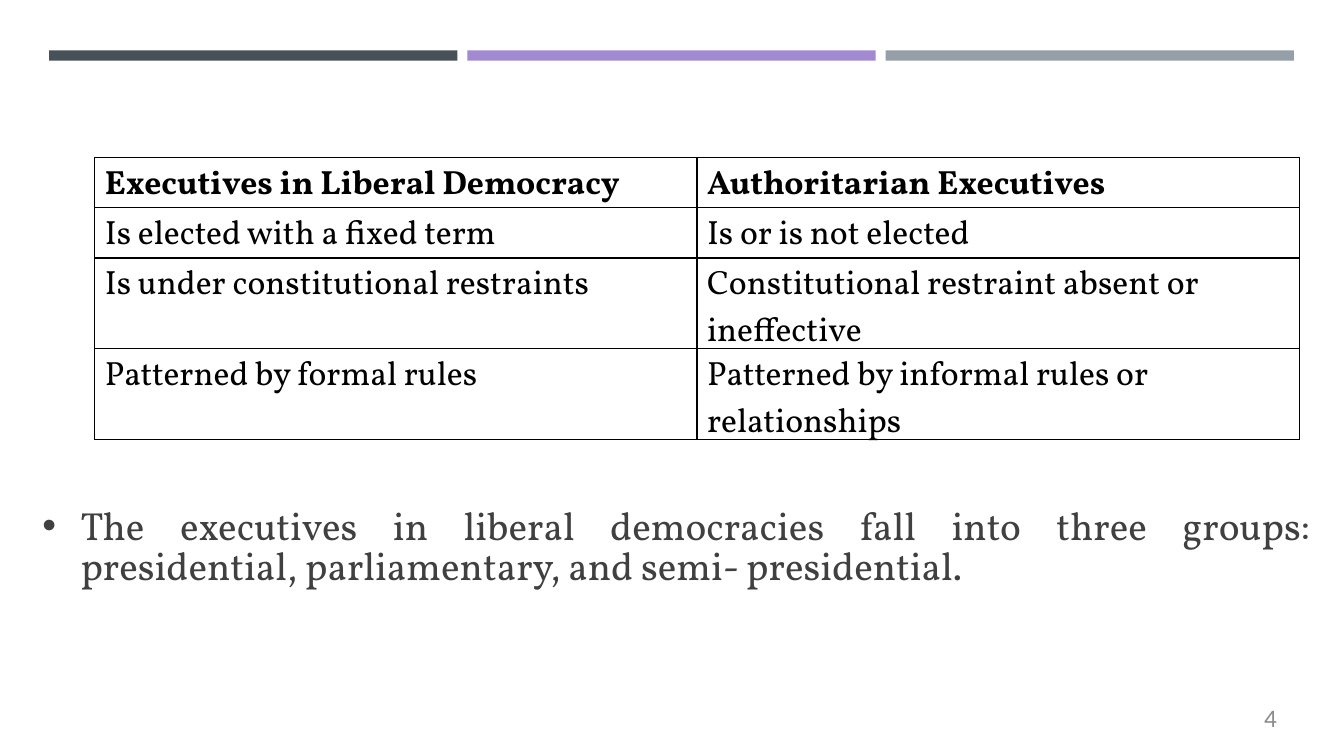
from lxml.etree import SubElement
from pptx import Presentation
from pptx.dml.color import RGBColor
from pptx.enum.shapes import MSO_SHAPE
from pptx.enum.text import PP_ALIGN
from pptx.oxml.ns import qn
from pptx.util import Cm, Pt

BLACK = RGBColor(0x00, 0x00, 0x00)
BODY_GRAY = RGBColor(0x40, 0x40, 0x40)
NUMBER_GRAY = RGBColor(0x8C, 0x8C, 0x8C)
BAR_COLORS = [
    RGBColor(0x46, 0x52, 0x58),
    RGBColor(0xA1, 0x8A, 0xD1),
    RGBColor(0x95, 0x9F, 0xA7),
]

ROWS = [
    ("Executives in Liberal Democracy", "Authoritarian Executives"),
    ("Is elected with a fixed term", "Is or is not elected"),
    ("Is under constitutional restraints", "Constitutional restraint absent or ineffective"),
    ("Patterned by formal rules", "Patterned by informal rules or relationships"),
]
SUMMARY = (
    "The executives in liberal democracies fall into three groups: "
    "presidential, parliamentary, and semi- presidential."
)
PAGE_NUMBER = "4"

HEADER_FONT = {"name": "Vollkorn", "size": Pt(24), "bold": True}
CELL_FONT = {"name": "Vollkorn", "size": Pt(24), "bold": False}
SUMMARY_FONT = {"name": "Vollkorn", "size": Pt(28)}
NUMBER_FONT = {"name": "Calibri", "size": Pt(18)}

BAR_LEFT, BAR_TOP, BAR_WIDTH, BAR_HEIGHT, BAR_STEP = 1.24, 1.27, 10.29, 0.26, 10.54
TABLE_LEFT, TABLE_TOP, TABLE_WIDTH, ROW_HEIGHT = 2.39, 3.96, 30.35, 1.04
HANGING_INDENT = Cm(0.96)


def write(paragraph, text, font_format, color):
    run = paragraph.add_run()
    run.text = text
    for name, value in font_format.items():
        setattr(run.font, name, value)
    run.font.color.rgb = color


def add_text(slide, box, text, font_format, color, alignment):
    """Add a wrapped text box without margins and return its paragraph."""
    frame = slide.shapes.add_textbox(*map(Cm, box)).text_frame
    frame.word_wrap = True
    for side in ("left", "top", "right", "bottom"):
        setattr(frame, f"margin_{side}", 0)
    paragraph = frame.paragraphs[0]
    paragraph.alignment = alignment
    write(paragraph, text, font_format, color)
    return paragraph


def add_bullet(paragraph):
    properties = paragraph._p.get_or_add_pPr()
    properties.set("marL", str(HANGING_INDENT))
    properties.set("indent", str(-HANGING_INDENT))
    SubElement(properties, qn("a:buFont"), typeface="Arial")
    SubElement(properties, qn("a:buChar"), char="•")


def add_borders(cell):
    properties = cell._tc.get_or_add_tcPr()
    for position, side in enumerate(("a:lnL", "a:lnR", "a:lnT", "a:lnB")):
        line = SubElement(properties, qn(side), w=str(Pt(1)))
        fill = SubElement(line, qn("a:solidFill"))
        SubElement(fill, qn("a:srgbClr"), val=str(BLACK))
        properties.remove(line)
        properties.insert(position, line)


def add_bars(slide):
    for index, color in enumerate(BAR_COLORS):
        left = BAR_LEFT + index * BAR_STEP
        box = (left, BAR_TOP, BAR_WIDTH, BAR_HEIGHT)
        bar = slide.shapes.add_shape(MSO_SHAPE.RECTANGLE, *map(Cm, box))
        bar.shadow.inherit = False
        bar.fill.solid()
        bar.fill.fore_color.rgb = color
        bar.line.fill.background()


def add_comparison(slide):
    box = (TABLE_LEFT, TABLE_TOP, TABLE_WIDTH, ROW_HEIGHT * len(ROWS))
    table = slide.shapes.add_table(len(ROWS), len(ROWS[0]), *map(Cm, box)).table
    table.horz_banding = False
    for row_index, texts in enumerate(ROWS):
        font_format = CELL_FONT if row_index else HEADER_FONT
        for column_index, text in enumerate(texts):
            cell = table.cell(row_index, column_index)
            cell.fill.background()
            add_borders(cell)
            write(cell.text_frame.paragraphs[0], text, font_format, BLACK)


def main():
    presentation = Presentation()
    presentation.slide_width = Cm(33.87)
    presentation.slide_height = Cm(19.05)
    slide = presentation.slides.add_slide(presentation.slide_layouts[6])
    add_bars(slide)
    summary = add_text(slide, (1.07, 12.8, 31.95, 2.4), SUMMARY,
                       SUMMARY_FONT, BODY_GRAY, PP_ALIGN.JUSTIFY)
    summary.line_spacing = 0.86
    add_bullet(summary)
    add_text(slide, (24.38, 17.7, 7.8, 0.97), PAGE_NUMBER,
             NUMBER_FONT, NUMBER_GRAY, PP_ALIGN.RIGHT)
    add_comparison(slide)
    presentation.save("out.pptx")


if __name__ == "__main__":
    main()
